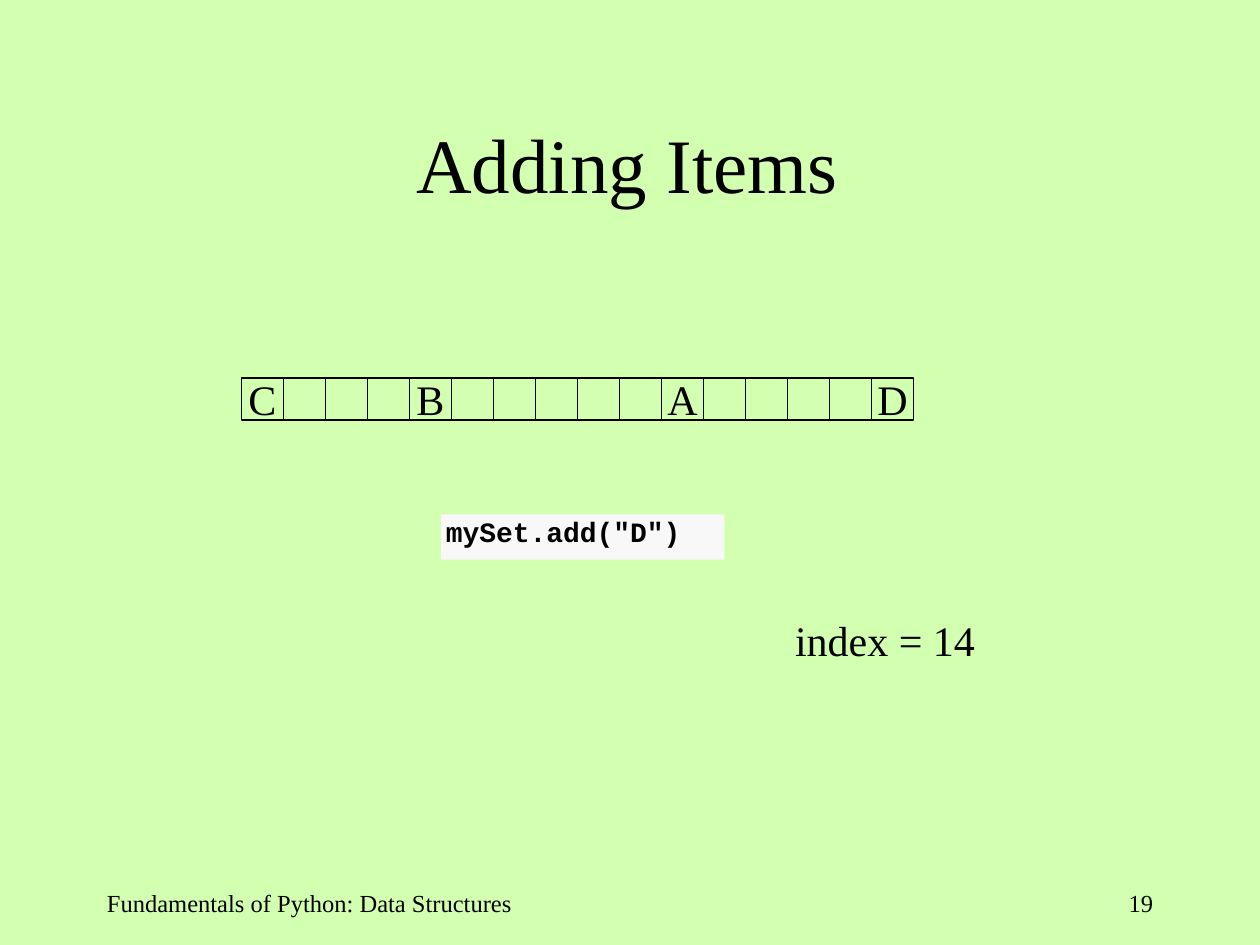
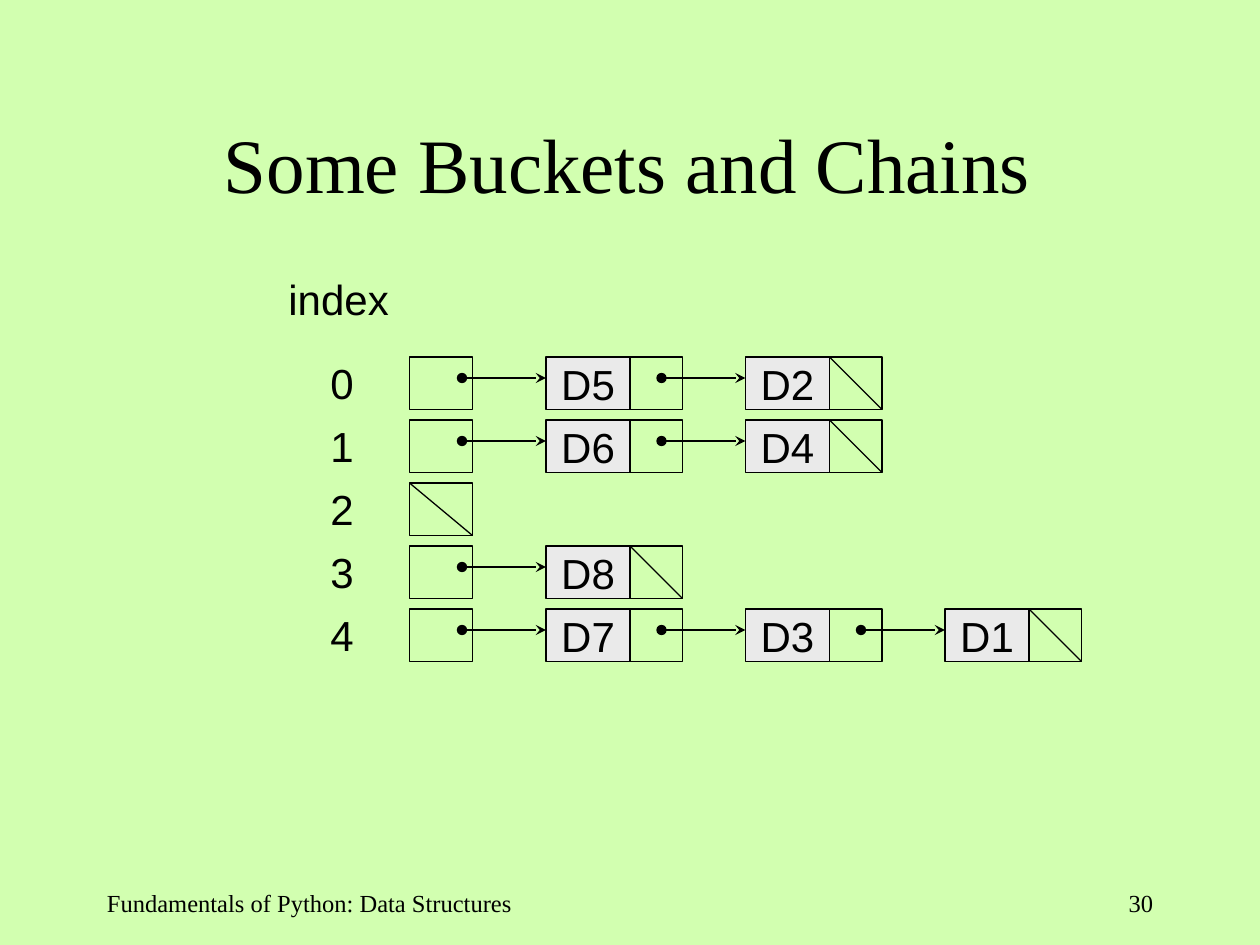
from lxml.etree import SubElement
from pptx import Presentation
from pptx.dml.color import RGBColor
from pptx.enum.shapes import MSO_CONNECTOR as Connector, MSO_SHAPE as Preset
from pptx.enum.text import MSO_ANCHOR as Anchor, PP_ALIGN as Align
from pptx.oxml.ns import qn
from pptx.util import Cm, Pt

GRID = 2.54 / 12  # every position is counted in twelfths of an inch
TITLE_ONLY = 5
BLACK, BACKGROUND, CODE_FILL, NODE_FILL = "000000", "D2FFB0", "F8F8F8", "EAEAEA"
SERIF, SANS, MONO = "Times New Roman", "Arial", "Courier New"

# Margins in centimetres: left, top, right, bottom
TIGHT = (0.1, 0, 0.1, 0)
ROOMY = (0.25, 0.13, 0.25, 0.13)
TITLE_MARGINS = (0.25, 0.13, 0.36, 0.13)


def grid(units):
    return Cm(units * GRID)


def color(hex_string):
    return RGBColor.from_string(hex_string)


def set_attributes(target, values):
    for name, value in values.items():
        setattr(target, name, value)


class Deck:
    """Holds the shared style and the slide being drawn."""

    def __init__(self):
        self.presentation = Presentation()
        set_attributes(self.presentation,
                       {"slide_width": grid(120), "slide_height": grid(90)})
        fill = self.presentation.slide_master.background.fill
        fill.solid()
        fill.fore_color.rgb = color(BACKGROUND)
        self.slide = None

    def start_slide(self, title, number):
        layout = self.presentation.slide_layouts[TITLE_ONLY]
        self.slide = self.presentation.slides.add_slide(layout)
        placeholder = self.slide.shapes.title
        set_attributes(placeholder, {"left": grid(9), "top": grid(8),
                                     "width": grid(102), "height": grid(15)})
        self.set_text(placeholder, title, size=44, align=Align.CENTER,
                      anchor=Anchor.MIDDLE, margins=TITLE_MARGINS)
        self.label("Fundamentals of Python: Data Structures", 9, 84, 45, 6,
                   size=14, margins=ROOMY)
        self.label(str(number), 86, 84, 25, 6, size=14, align=Align.RIGHT,
                   margins=ROOMY)

    def set_text(self, shape, text, font=SERIF, size=24, bold=False,
                 align=Align.LEFT, anchor=Anchor.TOP, margins=TIGHT):
        frame = shape.text_frame
        left, top, right, bottom = map(Cm, margins)
        set_attributes(frame, {
            "text": text, "word_wrap": True, "vertical_anchor": anchor,
            "margin_left": left, "margin_top": top,
            "margin_right": right, "margin_bottom": bottom})
        paragraph = frame.paragraphs[0]
        paragraph.alignment = align
        run_font = paragraph.runs[0].font
        set_attributes(run_font, {"name": font, "size": Pt(size), "bold": bold})
        run_font.color.rgb = color(BLACK)

    def label(self, text, left, top, width, height, **text_format):
        box = self.slide.shapes.add_textbox(*map(grid, (left, top, width, height)))
        self.set_text(box, text, **text_format)

    def box(self, left, top, width, height, text="", fill=None, outlined=True,
            **text_format):
        shape = self.slide.shapes.add_shape(
            Preset.RECTANGLE, *map(grid, (left, top, width, height)))
        shape.shadow.inherit = False
        if fill:
            shape.fill.solid()
            shape.fill.fore_color.rgb = color(fill)
        else:
            shape.fill.background()
        if outlined:
            self.style_line(shape.line)
        else:
            shape.line.fill.background()
        if text:
            self.set_text(shape, text, **text_format)

    def style_line(self, line):
        line.width = Pt(0.75)
        line.color.rgb = color(BLACK)

    def line(self, start_x, start_y, end_x, end_y):
        connector = self.slide.shapes.add_connector(
            Connector.STRAIGHT, *map(grid, (start_x, start_y, end_x, end_y)))
        self.style_line(connector.line)
        SubElement(connector._element.spPr, qn("a:effectLst"))
        return connector

    def pointer(self, start_x, end_x, y):
        """Draw an arrow that starts with a dot."""
        line_xml = self.line(start_x, y, end_x, y).line._get_or_add_ln()
        for end, kind in (("a:headEnd", "oval"), ("a:tailEnd", "stealth")):
            SubElement(line_xml, qn(end), type=kind)


def add_array_slide(deck):
    deck.start_slide("Adding Items", 19)
    cell_size = 4
    items = {0: "C", 4: "B", 10: "A", 15: "D"}
    for index in range(16):
        deck.box(23 + index * cell_size, 36, cell_size, cell_size,
                 items.get(index, ""), align=Align.CENTER, anchor=Anchor.MIDDLE)
    deck.label("index = 14", 75.25, 58.5, 19, 4.8)
    deck.box(42, 49, 27, 4.3, 'mySet.add("D")', fill=CODE_FILL, outlined=False,
             font=MONO, size=16, bold=True)


def add_chains_slide(deck):
    deck.start_slide("Some Buckets and Chains", 30)
    chains = [["D5", "D2"], ["D6", "D4"], [], ["D8"], ["D7", "D3", "D1"]]
    bucket_left, bucket_width, height = 39, 6, 5
    first_node, node_pitch, item_width, link_width = 52, 19, 8, 5
    pointer_length = 8

    deck.label("index", 27, 26, 13, 5.9, font=SANS)
    for index, chain in enumerate(chains):
        top = 34 + index * 6
        deck.label(str(index), 31, top, 5, 5.9, font=SANS)
        deck.box(bucket_left, top, bucket_width, height)
        link_left, link_right = bucket_left, bucket_left + bucket_width
        for position, item in enumerate(chain):
            left = first_node + position * node_pitch
            link_left = left + item_width
            link_right = link_left + link_width
            deck.box(link_left, top, link_width, height)
            deck.box(left, top, item_width, height, item, fill=NODE_FILL,
                     font=SANS, align=Align.CENTER, anchor=Anchor.MIDDLE)
            deck.pointer(left - pointer_length, left, top + 2)
        # A diagonal marks the empty link that ends the chain
        deck.line(link_left, top, link_right, top + height)


def main():
    deck = Deck()
    add_array_slide(deck)
    add_chains_slide(deck)
    deck.presentation.save("out.pptx")


if __name__ == "__main__":
    main()
